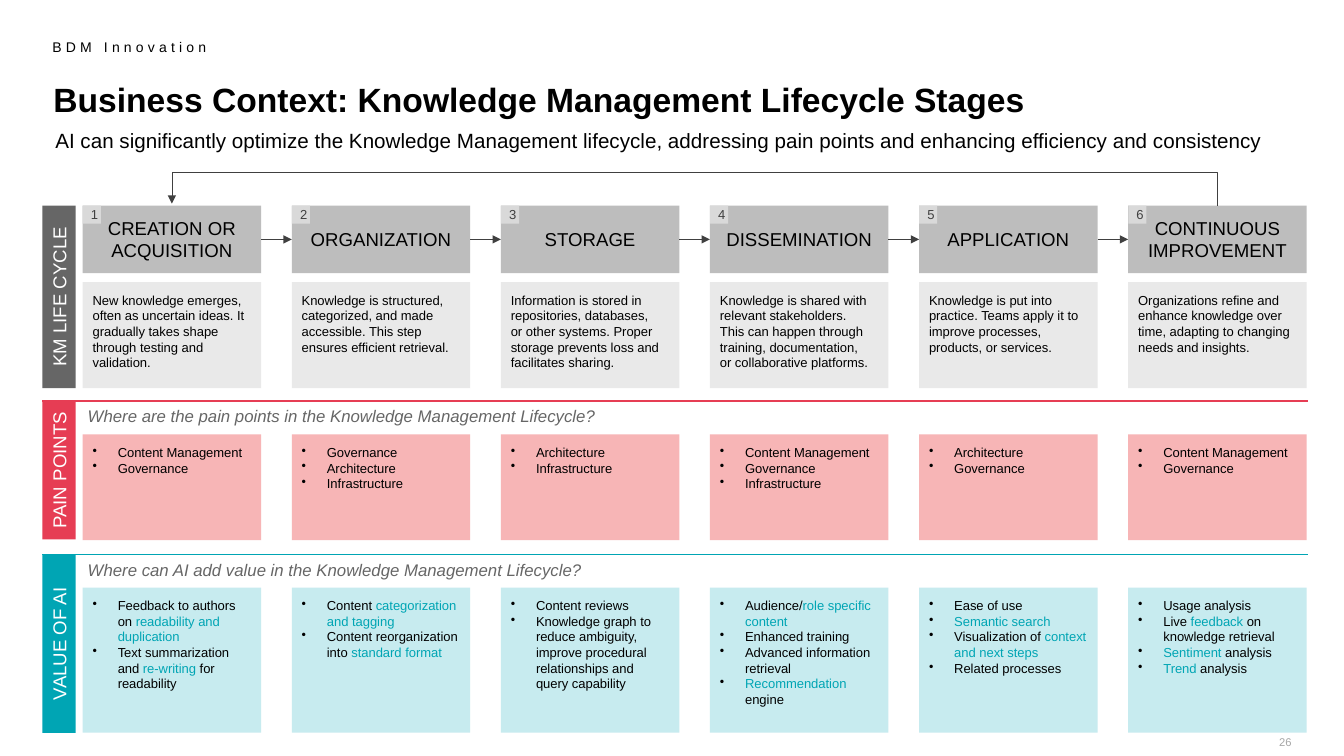
from dataclasses import dataclass

from lxml.etree import SubElement
from pptx import Presentation
from pptx.dml.color import RGBColor
from pptx.enum.shapes import MSO_CONNECTOR as Connector, MSO_SHAPE as Shape
from pptx.enum.text import MSO_ANCHOR as Anchor, PP_ALIGN as Align
from pptx.oxml.ns import qn
from pptx.util import Inches, Pt


@dataclass(frozen=True)
class Theme:
    font: str = "Arial"
    black: str = "000000"
    white: str = "FFFFFF"
    arrow: str = "404040"
    grey: str = "666666"
    page: str = "A6A6A6"
    badge: str = "D9D9D9"
    stage: str = "BDBDBD"
    description: str = "E9E9E9"
    red: str = "E63D54"
    pale_red: str = "F7B5B6"
    teal: str = "00A5B4"
    pale_teal: str = "C7EBEF"
    title_size: float = 24
    subtitle_size: float = 14.7
    heading_size: float = 13.3
    question_size: float = 12
    header_size: float = 10
    body_size: float = 9.3
    page_size: float = 8


THEME = Theme()
BAND_LEFT, BAND_WIDTH, BAND_RIGHT = 0.42, 0.33, 12.97
COLUMN_LEFT, COLUMN_WIDTH, COLUMN_PITCH = 0.82, 1.77, 2.074
STAGE_TOP, STAGE_HEIGHT = 2.04, 0.67
DEFAULT_INSETS = (0.1, 0.05, 0.1, 0.05)
BODY_INSETS = (0.1, 0.1, 0.16, 0.1)
VALUE_INSETS = (0.1, 0.1, 0.1, 0.1)

STAGES = [
    ("CREATION OR ACQUISITION",
     "New knowledge emerges, often as uncertain ideas. It gradually takes shape through "
     "testing and validation."),
    ("ORGANIZATION",
     "Knowledge is structured, categorized, and made accessible. This step ensures "
     "efficient retrieval."),
    ("STORAGE",
     "Information is stored in repositories, databases, or other systems. Proper storage "
     "prevents loss and facilitates sharing."),
    ("DISSEMINATION",
     "Knowledge is shared with relevant stakeholders. This can happen through training, "
     "documentation, or collaborative platforms."),
    ("APPLICATION",
     "Knowledge is put into practice. Teams apply it to improve processes, products, or "
     "services."),
    ("CONTINUOUS IMPROVEMENT",
     "Organizations refine and enhance knowledge over time, adapting to changing needs "
     "and insights."),
]
PAIN_POINTS = [
    ["Content Management", "Governance"],
    ["Governance", "Architecture", "Infrastructure"],
    ["Architecture", "Infrastructure"],
    ["Content Management", "Governance", "Infrastructure"],
    ["Architecture", "Governance"],
    ["Content Management", "Governance"],
]
# Words between asterisks are highlighted in teal.
AI_VALUES = [
    ["Feedback to authors on *readability and duplication*",
     "Text summarization and *re-writing* for readability"],
    ["Content *categorization and tagging*", "Content reorganization into *standard format*"],
    ["Content reviews",
     "Knowledge graph to reduce ambiguity, improve procedural relationships and query "
     "capability"],
    ["Audience/*role specific content*", "Enhanced training",
     "Advanced information retrieval", "*Recommendation* engine"],
    ["Ease of use", "*Semantic search*", "Visualization of *context and next steps*",
     "Related processes"],
    ["Usage analysis", "Live *feedback* on knowledge retrieval", "*Sentiment* analysis",
     "*Trend* analysis"],
]


def column_left(index):
    return COLUMN_LEFT + index * COLUMN_PITCH


def write(shape, lines, size, color=THEME.black, align=Align.LEFT, anchor=Anchor.TOP,
          insets=DEFAULT_INSETS, wrap=True, bold=False, italic=False, bullets=False):
    """Fill a shape with one paragraph per line, highlighting words between asterisks."""
    frame = shape.text_frame
    frame.word_wrap = wrap
    frame.vertical_anchor = anchor
    frame.margin_left, frame.margin_top, frame.margin_right, frame.margin_bottom = map(
        Inches, insets)
    frame.text = "\n".join(lines)
    for paragraph, line in zip(frame.paragraphs, lines):
        paragraph.alignment = align
        paragraph.text = ""
        for position, part in enumerate(line.split("*")):
            if not part:
                continue
            run = paragraph.add_run()
            run.text = part
            font = run.font
            font.name, font.size, font.bold, font.italic = THEME.font, Pt(size), bold, italic
            font.color.rgb = RGBColor.from_string(THEME.teal if position % 2 else color)
        if bullets:
            add_bullet(paragraph)
    return frame


def add_bullet(paragraph):
    properties = paragraph._p.get_or_add_pPr()
    properties.set("marL", str(Inches(0.25)))
    properties.set("indent", str(Inches(-0.25)))
    bullet_color = SubElement(properties, qn("a:buClr"))
    SubElement(bullet_color, qn("a:srgbClr")).set("val", THEME.black)
    SubElement(properties, qn("a:buChar")).set("char", "•")


def add_text(slide, left, top, width, height, text, size, **style):
    box = slide.shapes.add_textbox(*map(Inches, (left, top, width, height)))
    return write(box, [text], size, **style).paragraphs[0]


def add_box(slide, left, top, width, height, fill):
    box = slide.shapes.add_shape(Shape.RECTANGLE, *map(Inches, (left, top, width, height)))
    box.shadow.inherit = False
    box.fill.solid()
    box.fill.fore_color.rgb = RGBColor.from_string(fill)
    box.line.fill.background()
    return box


def add_band_label(slide, top, length, text, fill):
    """Add a label that reads upwards along the left edge."""
    left = BAND_LEFT + (BAND_WIDTH - length) / 2
    label = add_box(slide, left, top + (length - BAND_WIDTH) / 2, length, BAND_WIDTH, fill)
    label.rotation = 270
    write(label, [text], THEME.heading_size, THEME.white, Align.CENTER, Anchor.MIDDLE,
          (0.05,) * 4, wrap=False)


def add_line(slide, start, end, color, weight, kind=Connector.STRAIGHT, arrow=False):
    line = slide.shapes.add_connector(kind, *map(Inches, (*start, *end)))
    line.line.color.rgb = RGBColor.from_string(color)
    line.line.width = Pt(weight)
    if arrow:
        SubElement(line.line._get_or_add_ln(), qn("a:tailEnd")).set("type", "triangle")
    SubElement(line._element.spPr, qn("a:effectLst"))
    return line


def add_return_arrow(slide):
    """Loop from the top of the last stage over to the top of the first."""
    span, depth, rise = 5 * COLUMN_PITCH, 0.02, 0.33
    center = column_left(2.5) + COLUMN_WIDTH / 2
    left, top = center - depth / 2, STAGE_TOP - (depth + span) / 2
    arrow = add_line(slide, (left, top), (left + depth, top + span), THEME.arrow, 0.5,
                     Connector.ELBOW, arrow=True)
    properties = arrow._element.spPr
    transform = properties.find(qn("a:xfrm"))
    transform.set("rot", str(270 * 60000))
    transform.set("flipV", "1")
    guides = properties.find(qn("a:prstGeom")).find(qn("a:avLst"))
    guide = SubElement(guides, qn("a:gd"))
    guide.set("name", "adj1")
    guide.set("fmla", f"val {round(rise / depth * 100000)}")


def add_lifecycle(slide):
    add_band_label(slide, STAGE_TOP, 1.81, "KM LIFE CYCLE", THEME.grey)
    previous = None
    for index, (name, description) in enumerate(STAGES):
        left = column_left(index)
        stage = add_box(slide, left, STAGE_TOP, COLUMN_WIDTH, STAGE_HEIGHT, THEME.stage)
        write(stage, [name], THEME.heading_size, align=Align.CENTER, anchor=Anchor.MIDDLE,
              insets=(0.1,) * 4)
        badge = add_box(slide, left, STAGE_TOP, 0.18, 0.18, THEME.badge)
        write(badge, [str(index + 1)], THEME.body_size, THEME.arrow, Align.CENTER,
              Anchor.MIDDLE)
        detail = add_box(slide, left, 2.8, COLUMN_WIDTH, 1.05, THEME.description)
        write(detail, [description], THEME.body_size, insets=BODY_INSETS)
        if previous:
            middle = STAGE_TOP + STAGE_HEIGHT / 2
            arrow = add_line(slide, (left - 0.3, middle), (left, middle), THEME.arrow, 0.5,
                             arrow=True)
            arrow.begin_connect(previous, 3)
            arrow.end_connect(stage, 1)
        previous = stage
    add_return_arrow(slide)


def add_band(slide, top, length, label, question, columns, strong, pale, box_height, insets):
    add_band_label(slide, top, length, label, strong)
    add_text(slide, COLUMN_LEFT, top, 5.5, 0.31, question, THEME.question_size,
             color=THEME.grey, insets=(0.05,) * 4, italic=True)
    for index, points in enumerate(columns):
        box = add_box(slide, column_left(index), top + 0.33, COLUMN_WIDTH, box_height, pale)
        write(box, points, THEME.body_size, insets=insets, bullets=True)
    add_line(slide, (BAND_LEFT, top), (BAND_RIGHT, top), strong, 1)


def add_headings(slide):
    header = add_text(slide, 0.42, 0.33, 12.38, 0.53, "BDM Innovation", THEME.header_size)
    header.runs[0].font._element.set("spc", "300")
    title = add_text(slide, 0.53, 0.89, 12.28, 0.4,
                     "Business Context: Knowledge Management Lifecycle Stages",
                     THEME.title_size, insets=(0,) * 4, bold=True)
    title.line_spacing = 0.7
    subtitle = add_text(slide, 0.45, 1.26, 12.2, 0.33,
                        "AI can significantly optimize the Knowledge Management lifecycle, "
                        "addressing pain points and enhancing efficiency and consistency",
                        THEME.subtitle_size)
    subtitle.line_spacing = 0.85
    add_text(slide, 12.23, 7.25, 0.58, 0.18, "26", THEME.page_size, color=THEME.page,
             align=Align.RIGHT, insets=(0, 0.05, 0, 0))


def main():
    presentation = Presentation()
    presentation.slide_width, presentation.slide_height = Inches(13.33), Inches(7.5)
    slide = presentation.slides.add_slide(presentation.slide_layouts[6])
    add_headings(slide)
    add_lifecycle(slide)
    add_band(slide, 3.98, 1.37, "PAIN POINTS",
             "Where are the pain points in the Knowledge Management Lifecycle?",
             PAIN_POINTS, THEME.red, THEME.pale_red, 1.05, BODY_INSETS)
    add_band(slide, 5.5, 1.77, "VALUE OF AI",
             "Where can AI add value in the Knowledge Management Lifecycle?",
             AI_VALUES, THEME.teal, THEME.pale_teal, 1.44, VALUE_INSETS)
    presentation.save("out.pptx")


if __name__ == "__main__":
    main()
